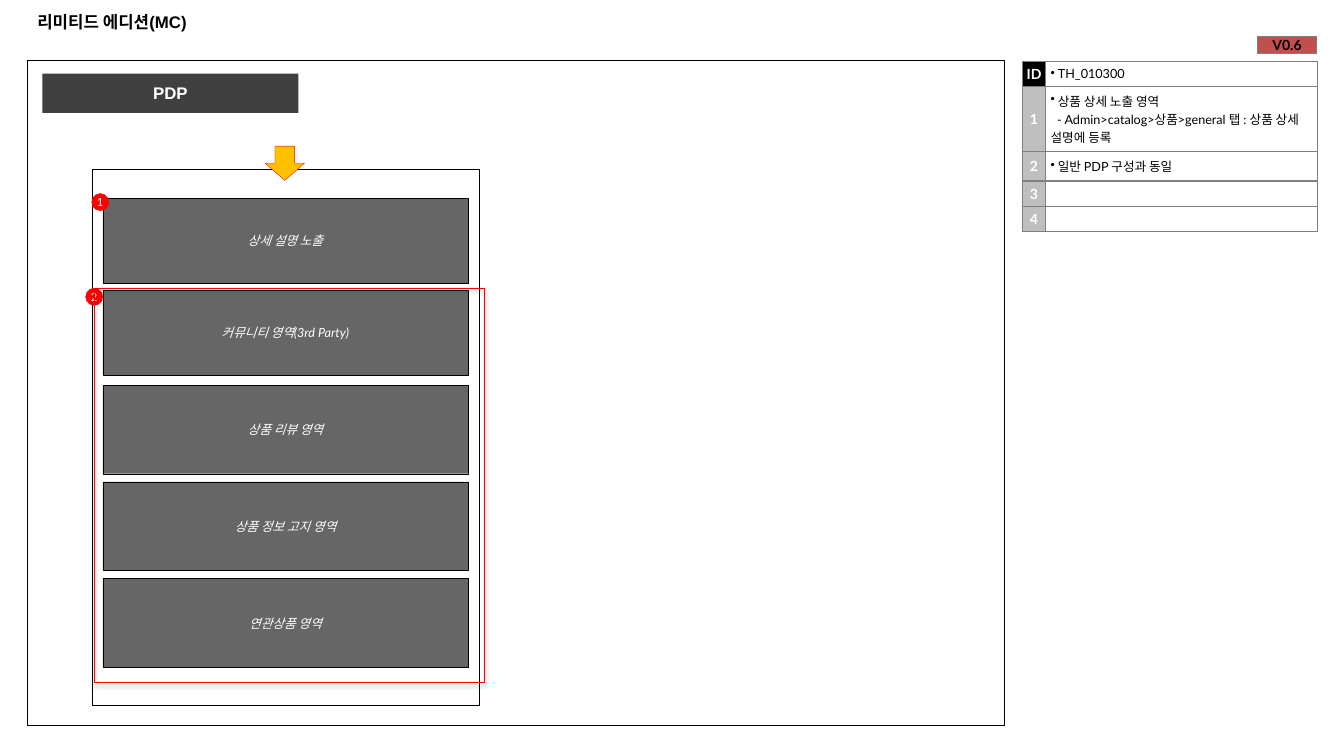
from lxml import etree
from pptx import Presentation
from pptx import util as u
from pptx.dml.color import RGBColor
from pptx.enum import shapes, text
from pptx.oxml import ns

TITLE = "리미티드 에디션(MC)"
HEADER = "PDP"
VERSION = "V0.6"
DESCRIPTIONS = [
    ("ID", ["TH_010300"], 0.25),
    ("1", ["상품 상세 노출 영역", "  - Admin>catalog>상품>general 탭 : 상품 상세 설명에 등록"], 0.64),
    ("2", ["일반 PDP 구성과 동일"], 0.29),
    ("3", [], 0.25),
    ("4", [], 0.25),
]
DETAIL_BLOCK = ("상세 설명 노출", 1.97, 0.84)
COMMUNITY_BLOCK = ("커뮤니티 영역(3rd Party)", 2.88, 0.84)
LOWER_LABELS = ["상품 리뷰 영역", "상품 정보 고지 영역", "연관상품 영역"]
LOWER_TOP, LOWER_PITCH, LOWER_HEIGHT = 3.82, 0.96, 0.88
LOWER_BLOCKS = [
    (label, LOWER_TOP + index * LOWER_PITCH, LOWER_HEIGHT)
    for index, label in enumerate(LOWER_LABELS)
]
MARKERS = [("1", 0.91, 1.92), ("2", 0.85, 2.86)]

SHAPE = shapes.MSO_SHAPE
CENTER = text.PP_ALIGN.CENTER
MIDDLE = text.MSO_ANCHOR.MIDDLE


def paint(target, color):
    target.solid()
    target.fore_color.rgb = RGBColor.from_string(color)


def add_xml(parent, tag, **attributes):
    return etree.SubElement(parent, ns.qn(tag), attributes)


def set_insets(frame, inset):
    frame.margin_left = frame.margin_right = u.Inches(inset)
    frame.margin_top = frame.margin_bottom = u.Inches(inset)


def format_text(frame, size, color, font="Lato", bold=False, italic=False, align=None):
    for paragraph in frame.paragraphs:
        if align is not None:
            paragraph.alignment = align
        for run in paragraph.runs:
            run.font.name = font
            run.font.size = u.Pt(size)
            run.font.bold = bold
            run.font.italic = italic
            run.font.color.rgb = RGBColor.from_string(color)


def add_box(slide, box, kind=SHAPE.RECTANGLE, fill=None, alpha=None, line=None, width=0.25):
    shape = slide.shapes.add_shape(kind, *[u.Inches(value) for value in box])
    shape.shadow.inherit = False
    if fill:
        paint(shape.fill, fill)
    else:
        shape.fill.background()
    if alpha:
        color = shape._element.spPr.find(".//" + ns.qn("a:srgbClr"))
        add_xml(color, "a:alpha", val=str(alpha * 1000))
    if line:
        paint(shape.line.fill, line)
        shape.line.width = u.Pt(width)
    else:
        shape.line.fill.background()
    return shape


def label_box(shape, label, size, inset, **style):
    frame = shape.text_frame
    frame.text = label
    frame.word_wrap = True
    frame.vertical_anchor = MIDDLE
    set_insets(frame, inset)
    format_text(frame, size, "FFFFFF", align=CENTER, **style)


def add_blocks(slide, blocks):
    for label, top, height in blocks:
        shape = add_box(slide, (1.02, top, 3.62, height), fill="404040", alpha=80, line="000000")
        label_box(shape, label, 9, 0.04, italic=True)


def add_marker(slide, number, left, top):
    shape = add_box(slide, (left, top, 0.17, 0.17), SHAPE.OVAL, fill="FF0000", line="FF0000")
    label_box(shape, number, 8, 0)
    shape.text_frame.word_wrap = False


def add_shadow(shape):
    effects = shape._element.spPr.find(ns.qn("a:effectLst"))
    shadow = add_xml(effects, "a:outerShdw", blurRad=str(u.Pt(3.1)), dist=str(u.Pt(1.6)),
                     dir="5400000", rotWithShape="0")
    color = add_xml(shadow, "a:srgbClr", val="000000")
    add_xml(color, "a:alpha", val="38000")


def add_grid(slide, left, top, widths, heights):
    table = slide.shapes.add_table(
        len(heights), len(widths), u.Inches(left), u.Inches(top),
        u.Inches(sum(widths)), u.Inches(sum(heights))).table
    table.first_row = table.horz_banding = False
    for column, width in zip(table.columns, widths):
        column.width = u.Inches(width)
    for row, height in zip(table.rows, heights):
        row.height = u.Inches(height)
    return table


def fill_cell(cell, lines, fill, inset, size, color, bold=False, align=None):
    cell.text_frame.text = "\n".join(lines)
    cell.vertical_anchor = MIDDLE
    set_insets(cell, inset)
    format_text(cell.text_frame, size, color, bold=bold, align=align)
    properties = cell._tc.get_or_add_tcPr()
    for side in ("a:lnL", "a:lnR", "a:lnT", "a:lnB"):
        border = add_xml(properties, side, w=str(u.Pt(1)))
        add_xml(add_xml(border, "a:solidFill"), "a:srgbClr", val="7F7F7F")
    if fill:
        paint(cell.fill, fill)
    else:
        cell.fill.background()
    if not lines:
        add_xml(cell.text_frame.paragraphs[0]._p, "a:endParaRPr", sz=str(size * 100))


def add_descriptions(slide):
    table = add_grid(slide, 10.14, 0.61, [0.23, 2.7], [height for _, _, height in DESCRIPTIONS])
    for index, (key, lines, _) in enumerate(DESCRIPTIONS):
        key_cell, cell = table.cell(index, 0), table.cell(index, 1)
        key_fill = "BFBFBF" if index else "000000"
        fill_cell(key_cell, [key], key_fill, 0, 10, "FFFFFF", bold=True, align=CENTER)
        bulleted = [" " + line for line in lines[:1]] + lines[1:]
        fill_cell(cell, bulleted, None, 0.05, 9, "000000")
        if lines:
            add_xml(cell.text_frame.paragraphs[0]._p.get_or_add_pPr(), "a:buChar", char="•")


def add_title(slide):
    title = slide.shapes.title
    title.left, title.top = u.Inches(0.27), u.Inches(0.07)
    title.width, title.height = u.Inches(12.79), u.Inches(0.39)
    title.text_frame.text = TITLE
    title.text_frame.vertical_anchor = text.MSO_ANCHOR.TOP
    format_text(title.text_frame, 12, "000000", font="Arial", bold=True,
                align=text.PP_ALIGN.LEFT)


def main():
    presentation = Presentation()
    presentation.slide_width = u.Inches(13.33)
    presentation.slide_height = u.Inches(7.5)
    slide = presentation.slides.add_slide(presentation.slide_layouts[5])

    add_box(slide, (0.27, 0.6, 9.69, 6.6), line="000000", width=0.75)
    header = add_box(slide, (0.42, 0.73, 2.54, 0.39), fill="404040")
    label_box(header, HEADER, 12, 0.05, font="Arial", bold=True)
    add_title(slide)
    add_descriptions(slide)
    version = add_grid(slide, 12.47, 0.36, [0.59], [0.17])
    fill_cell(version.cell(0, 0), [VERSION], "C0504D", 0, 10, "000000", bold=True, align=CENTER)

    add_box(slide, (0.91, 1.68, 3.84, 5.32), line="000000")
    add_box(slide, (2.63, 1.45, 0.39, 0.34), SHAPE.DOWN_ARROW, fill="FFC000", line="FF0000")
    add_blocks(slide, [DETAIL_BLOCK, *LOWER_BLOCKS])
    for marker in MARKERS:
        add_marker(slide, *marker)
    add_shadow(add_box(slide, (0.94, 2.86, 3.87, 3.91), line="FF0000", width=0.75))
    add_blocks(slide, [COMMUNITY_BLOCK])
    presentation.save("out.pptx")


if __name__ == "__main__":
    main()
